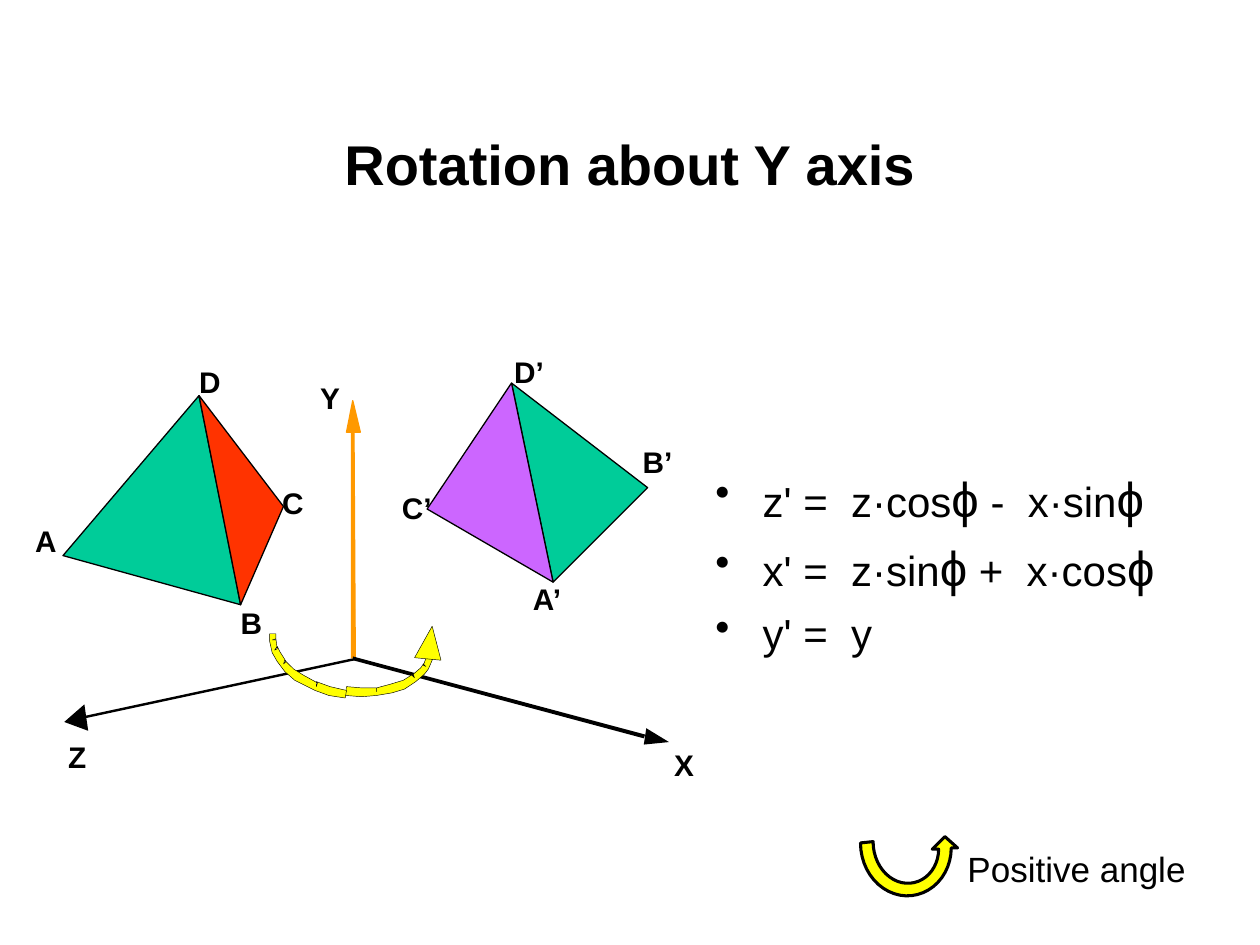
from math import cos, pi, sin

from lxml import etree
from pptx import Presentation
from pptx.dml.color import RGBColor
from pptx.enum.shapes import MSO_CONNECTOR
from pptx.enum.text import MSO_ANCHOR, PP_ALIGN
from pptx.oxml.ns import qn
from pptx.util import Cm, Pt

BLACK = RGBColor(0x00, 0x00, 0x00)
ORANGE = RGBColor(0xFF, 0x99, 0x00)
GREEN = RGBColor(0x00, 0xCC, 0x99)
RED = RGBColor(0xFF, 0x33, 0x00)
PURPLE = RGBColor(0xCC, 0x66, 0xFF)
YELLOW = RGBColor(0xFF, 0xFF, 0x00)
INCH = 2.54  # layout figures below are in inches

prs = Presentation()
prs.slide_width, prs.slide_height = Cm(10 * INCH), Cm(7.5 * INCH)
s = prs.slides.add_slide(prs.slide_layouts[6])


def add_text(box, paragraphs, align=PP_ALIGN.LEFT, bold=False, inset=(0.1, 0.05), **frame):
    """Add a text box; each paragraph is a list of (text, size) runs."""
    tf = s.shapes.add_textbox(*[Cm(v * INCH) for v in box]).text_frame
    tf.margin_left = tf.margin_right = Cm(inset[0] * INCH)
    tf.margin_top = tf.margin_bottom = Cm(inset[1] * INCH)
    for name, value in {"word_wrap": True, **frame}.items():
        setattr(tf, name, value)
    for i, runs in enumerate(paragraphs):
        p = tf.add_paragraph() if i else tf.paragraphs[0]
        p.alignment = align
        for text, size in runs:
            r = p.add_run()
            r.text = text
            font = {"name": "Arial", "size": Pt(size), "bold": bold}
            for name, value in font.items():
                setattr(r.font, name, value)
            r.font.color.rgb = BLACK
    return tf


def add_outline(points, fill, line=None, width=0.74):
    """Add a closed filled polygon."""
    pts = [(Cm(x * INCH), Cm(y * INCH)) for x, y in points]
    fb = s.shapes.build_freeform(*pts[0])
    fb.add_line_segments(pts[1:], close=True)
    sp = fb.convert_to_shape()
    sp.shadow.inherit = False
    sp.fill.solid()
    sp.fill.fore_color.rgb = fill
    if line is None:
        sp.line.fill.background()
    else:
        sp.line.color.rgb = line
        sp.line.width = Pt(width)


# Title
tf = add_text((0.75, 0.67, 8.5, 1.25), [[("Rotation about Y axis", 32)]],
              PP_ALIGN.CENTER, bold=True, vertical_anchor=MSO_ANCHOR.MIDDLE)
tf.paragraphs[0].space_before, tf.paragraphs[0].space_after = Pt(12), Pt(6)

# Equations
PHI = ("\u03d5", 28)
tf = add_text((5.58, 3.67, 4.08, 2), [
    [("z' =  z·cos", 24), PHI, (" -  x·sin", 24), PHI],
    [("x' =  z·sin", 24), PHI, (" +  x·cos", 24), PHI],
    [("y' =  y", 24)],
])
for p in tf.paragraphs:
    p.space_before = Pt(6)
    pPr = p._p.get_or_add_pPr()
    pPr.set("marL", str(Cm(0.95)))
    pPr.set("indent", str(-Cm(0.95)))
    etree.SubElement(pPr, qn("a:buChar")).set("char", "•")

# Z axis
z_axis = s.shapes.add_connector(
    MSO_CONNECTOR.STRAIGHT, *[Cm(v * INCH) for v in (2.82, 5.23, 0.68, 5.69)])
z_axis.line.color.rgb = BLACK
z_axis.line.width = Pt(1.39)
etree.SubElement(z_axis._element.spPr, qn("a:effectLst"))
add_outline([(0.67, 5.59), (0.51, 5.73), (0.7, 5.8)], BLACK)

# Y axis
add_outline([(2.8, 3.18), (2.86, 3.43), (2.75, 3.43)], ORANGE, ORANGE)
add_outline([(2.81, 3.43), (2.79, 3.43), (2.79, 5.22), (2.82, 5.22)], ORANGE, ORANGE)

# X axis
add_outline([(5.31, 5.89), (5.11, 5.91), (5.13, 5.78)], BLACK)
add_outline([(2.8, 5.21), (2.8, 5.24), (5.11, 5.86), (5.12, 5.83)], BLACK)

# Axis and vertex labels
labels = [
    ("X", 5.35, 5.93), ("Y", 2.54, 3.01), ("Z", 0.54, 5.86),
    ("A", 0.28, 4.15), ("B", 1.91, 4.8), ("C", 2.24, 3.85), ("D", 1.58, 2.89),
    ("A’", 4.23, 4.61), ("B’", 5.1, 3.52), ("C’", 3.19, 3.89), ("D’", 4.08, 2.81),
]
for label, x, y in labels:
    add_text((x, y, 0.08 + 0.08 * len(label), 0.28), [[(label, 17)]],
             bold=True, inset=(0, 0), word_wrap=False)

# Pyramid before and after the rotation
A, B, C, D = (0.5, 4.41), (1.91, 4.8), (2.25, 4.02), (1.58, 3.14)
A2, B2, C2, D2 = (4.39, 4.62), (5.14, 3.87), (3.39, 4.04), (4.06, 3.04)
for face, color in [((A, B, D), GREEN), ((B, C, D), RED),
                    ((D2, B2, A2), GREEN), ((A2, D2, C2), PURPLE)]:
    add_outline(face, color, BLACK)

# Rotation arrow around the Y axis: right band, head, left band
right_band = [
    (2.74, 5.52), (2.75, 5.45), (2.87, 5.46), (2.99, 5.46), (2.99, 5.49), (2.99, 5.46),
    (3.1, 5.43), (3.2, 5.4), (3.28, 5.35), (3.29, 5.38), (3.27, 5.36), (3.34, 5.3),
    (3.36, 5.27), (3.38, 5.29), (3.36, 5.28), (3.39, 5.2), (3.42, 5.22), (3.39, 5.22),
    (3.4, 5.17), (3.45, 5.18), (3.43, 5.24), (3.4, 5.31), (3.37, 5.35), (3.3, 5.41),
    (3.21, 5.47), (3.11, 5.5), (2.99, 5.52), (2.87, 5.53),
]
left_band = [
    (2.74, 5.54), (2.75, 5.48), (2.62, 5.45), (2.51, 5.41), (2.51, 5.45), (2.52, 5.42),
    (2.41, 5.36), (2.33, 5.31), (2.26, 5.24), (2.25, 5.27), (2.27, 5.25), (2.22, 5.17),
    (2.2, 5.13), (2.18, 5.16), (2.2, 5.15), (2.19, 5.07), (2.16, 5.08), (2.19, 5.08),
    (2.19, 5.03), (2.14, 5.03), (2.14, 5.09), (2.16, 5.18), (2.2, 5.25), (2.26, 5.33),
    (2.34, 5.4), (2.44, 5.45), (2.5, 5.48), (2.61, 5.52),
]
head = [(3.43, 4.97), (3.29, 5.22), (3.5, 5.24)]
for part in (right_band, head, left_band):
    add_outline(part, YELLOW, BLACK, 0.26)

# Positive angle key: outer arc, arrowhead, inner arc
STEPS = 24
turns = [i / STEPS for i in range(STEPS + 1)]
outer = [(7.19 - 0.36 * cos(pi * t), 6.69 + 0.04 * t + 0.4 * sin(pi * t)) for t in turns]
inner = [(7.19 + 0.26 * cos(pi * t), 6.74 - 0.06 * t + 0.3 * sin(pi * t)) for t in turns]
tip = [(7.6, 6.73), (7.5, 6.64), (7.4, 6.74)]
add_outline(outer + tip + inner, YELLOW, BLACK, 1.76)
add_text((7.53, 6.68, 2.03, 0.44), [[("Positive angle", 20)]], PP_ALIGN.CENTER)

prs.save("out.pptx")
